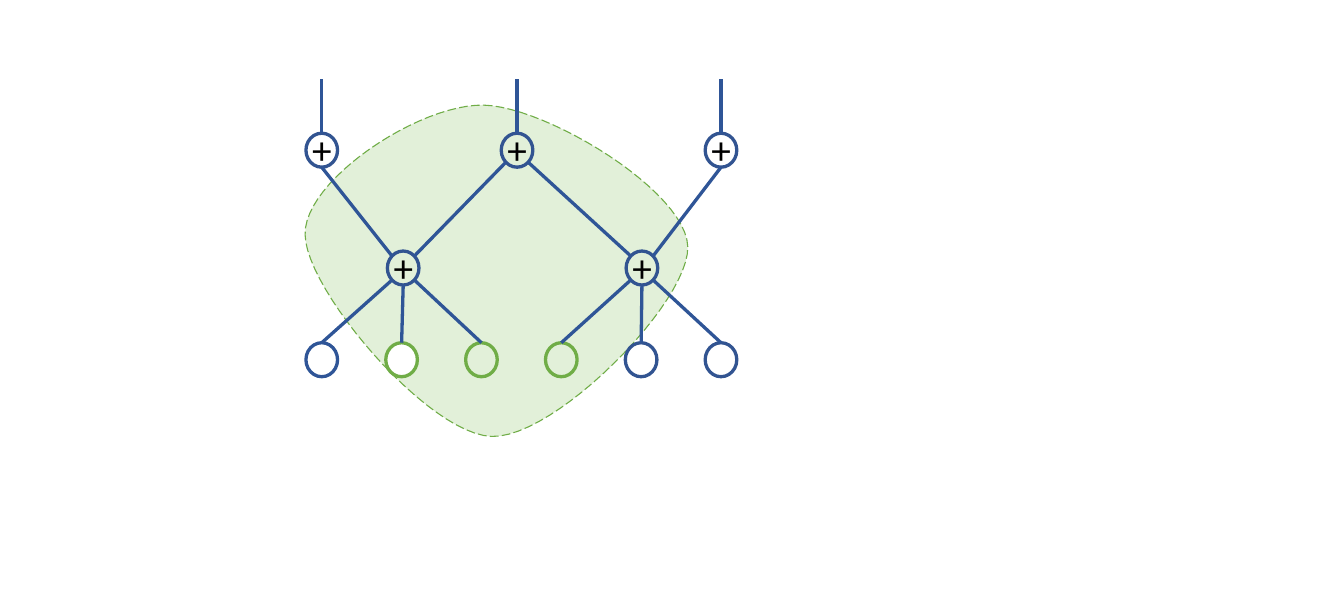
from dataclasses import dataclass
from typing import Optional

from lxml.etree import SubElement
from pptx import Presentation
from pptx.dml.color import RGBColor
from pptx.enum.dml import MSO_LINE
from pptx.enum.shapes import MSO_CONNECTOR, MSO_SHAPE
from pptx.enum.text import MSO_AUTO_SIZE
from pptx.oxml import parse_xml
from pptx.oxml.ns import qn
from pptx.util import Inches, Pt


@dataclass(frozen=True)
class Theme:
    ring: str = "325491"
    edge: str = "2F5597"
    green: str = "70AD47"
    pale: str = "E2F0D9"
    white: str = "FFFFFF"
    ink: str = "000000"
    font: str = "Calibri"
    size: float = 35.7
    thick: float = 3
    thin: float = 1


@dataclass(frozen=True)
class Node:
    x: float
    y: float
    line: str
    fill: Optional[str] = None
    sign: bool = False


THEME = Theme()
WIDE, HIGH = 0.4, 0.43
DIAG = 0.5 ** 0.5
SITES = {"top": (0, -1), "foot": (0, 1), "nw": (-DIAG, -DIAG),
         "ne": (DIAG, -DIAG), "sw": (-DIAG, DIAG), "se": (DIAG, DIAG)}
START = (6.12, 1.33)
CURVES = [
    ((6.92, 1.35), (8.68, 2.42), (8.7, 3.12)),
    ((8.72, 3.82), (7.03, 5.54), (6.22, 5.52)),
    ((5.41, 5.49), (3.87, 3.67), (3.86, 2.97)),
    ((3.84, 2.28), (5.31, 1.31), START),
]
STEPS = 24
STEM = 0.68

NODES = {
    name: Node(x, y, THEME.ring, sign=True)
    for name, x, y in [("a", 4.07, 1.9), ("b", 6.54, 1.9), ("c", 9.12, 1.9),
                       ("l", 5.1, 3.39), ("r", 8.12, 3.39)]
}
LEAVES = [(THEME.edge, None), (THEME.green, THEME.white), (THEME.green, None),
          (THEME.green, None), (THEME.ring, None), (THEME.ring, None)]
for i, (line, fill) in enumerate(LEAVES):
    NODES[str(i)] = Node(4.07 + 1.01 * i, 4.55, line, fill)

LINKS = [("a", "foot", "l", "nw"), ("b", "sw", "l", "ne"),
         ("b", "se", "r", "nw"), ("c", "foot", "r", "ne")]
for i in range(6):
    LINKS.append(("lr"[i // 3], ("sw", "foot", "se")[i % 3], str(i), "top"))


def color(code: str) -> RGBColor:
    return RGBColor.from_string(code)


def paint(shape, line: str, width: float, fill: Optional[str]) -> None:
    shape.shadow.inherit = False
    shape.line.color.rgb = color(line)
    shape.line.width = Pt(width)
    if fill:
        shape.fill.solid()
        shape.fill.fore_color.rgb = color(fill)
    else:
        shape.fill.background()


def draw_blob(shapes) -> None:
    dots, last = [], START
    for curve in CURVES:
        ends = (last, *curve)
        for step in range(1, STEPS + 1):
            t = step / STEPS
            mix = ((1 - t) ** 3, 3 * t * (1 - t) ** 2, 3 * t * t * (1 - t), t ** 3)
            dots.append(tuple(Inches(sum(m * p[k] for m, p in zip(mix, ends)))
                              for k in (0, 1)))
        last = curve[-1]
    pen = shapes.build_freeform(Inches(START[0]), Inches(START[1]))
    pen.add_line_segments(dots, close=True)
    blob = pen.convert_to_shape()
    paint(blob, THEME.green, THEME.thin, THEME.pale)
    blob.line.dash_style = MSO_LINE.LONG_DASH


def draw_node(shapes, node: Node):
    ring = shapes.add_shape(MSO_SHAPE.OVAL, Inches(node.x - WIDE / 2),
                            Inches(node.y - HIGH / 2), Inches(WIDE), Inches(HIGH))
    paint(ring, node.line, THEME.thick, node.fill)
    return ring


def draw_sign(shapes, node: Node) -> None:
    box = shapes.add_textbox(Inches(node.x - 0.22), Inches(node.y - 0.36),
                             Inches(0.43), Inches(0.7))
    frame = box.text_frame
    looks = {"word_wrap": False, "auto_size": MSO_AUTO_SIZE.SHAPE_TO_FIT_TEXT}
    for key, value in looks.items():
        setattr(frame, key, value)
    run = frame.paragraphs[0].add_run()
    run.text = "+"
    for key, value in {"name": THEME.font, "size": Pt(THEME.size)}.items():
        setattr(run.font, key, value)
    run.font.color.rgb = color(THEME.ink)
    run.font._element.insert(0, parse_xml(
        '<a:ln xmlns:a="http://schemas.openxmlformats.org/drawingml/2006/main" '
        f'w="{Pt(0.75)}"><a:solidFill><a:srgbClr val="{THEME.edge}"/>'
        '</a:solidFill></a:ln>'))


def point(node: Node, site: str) -> tuple[float, float]:
    dx, dy = SITES[site]
    return node.x + dx * WIDE / 2, node.y + dy * HIGH / 2


def draw_line(shapes, start: tuple[float, float], end: tuple[float, float]):
    link = shapes.add_connector(MSO_CONNECTOR.STRAIGHT,
                                *(Inches(v) for v in (*start, *end)))
    link.line.color.rgb = color(THEME.edge)
    link.line.width = Pt(THEME.thick)
    SubElement(link._element.spPr, qn("a:effectLst"))
    return link


def main() -> None:
    deck = Presentation()
    deck.slide_width, deck.slide_height = Inches(17), Inches(7.5)
    shapes = deck.slides.add_slide(deck.slide_layouts[6]).shapes
    draw_blob(shapes)
    rings = {name: draw_node(shapes, node) for name, node in NODES.items()}
    for head, out, tail, into in LINKS:
        link = draw_line(shapes, point(NODES[head], out), point(NODES[tail], into))
        if into == "top":
            link.end_connect(rings[tail], 0)
    for name in "abc":
        x, y = point(NODES[name], "top")
        draw_line(shapes, (x, y), (x, y - STEM)).begin_connect(rings[name], 0)
    for node in NODES.values():
        if node.sign:
            draw_sign(shapes, node)
    deck.save("out.pptx")


if __name__ == "__main__":
    main()
